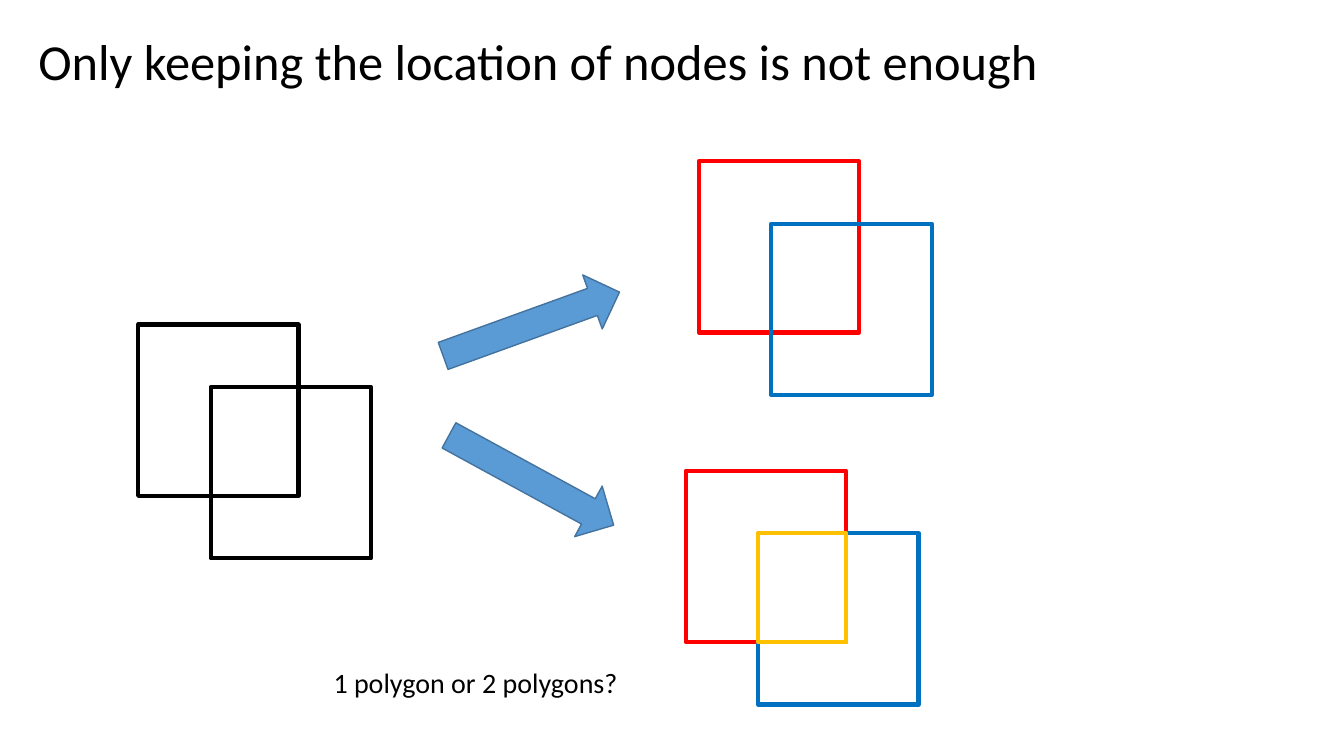
from pptx import Presentation
from pptx.dml.color import RGBColor
from pptx.enum.shapes import MSO_SHAPE
from pptx.enum.text import MSO_ANCHOR, MSO_AUTO_SIZE, PP_ALIGN
from pptx.util import Inches, Pt

RECT, ARROW = MSO_SHAPE.RECTANGLE, MSO_SHAPE.RIGHT_ARROW
MIDDLE, LEFT = MSO_ANCHOR.MIDDLE, PP_ALIGN.LEFT
FIT_SHAPE = MSO_AUTO_SIZE.SHAPE_TO_FIT_TEXT

BLACK = RGBColor(0x00, 0x00, 0x00)
WHITE = RGBColor(0xFF, 0xFF, 0xFF)
RED = RGBColor(0xFF, 0x00, 0x00)
BLUE = RGBColor(0x00, 0x70, 0xC0)
GOLD = RGBColor(0xFF, 0xC0, 0x00)
ARROW_FILL = RGBColor(0x5B, 0x9B, 0xD5)
ARROW_LINE = RGBColor(0x43, 0x73, 0x9E)

# Content
TITLE = "Only keeping the location of nodes is not enough"
QUESTION = "1 polygon or 2 polygons?"
# left, top, back colour, front colour, overlap colour
SQUARE_PAIRS = [
    (1.37, 3.22, BLACK, BLACK, None),
    (6.93, 1.6, RED, BLUE, None),
    (6.8, 4.67, RED, BLUE, GOLD),
]
ARROWS = [(2.93, 340.1), (4.48, 28.6)]  # top, rotation
SQUARE_W, SQUARE_H = 1.59, 1.7
SHIFT_X, SHIFT_Y = 0.72, 0.62


def add_shape(s, kind, box, fill, line, width):
    sp = s.shapes.add_shape(kind, *map(Inches, box))
    sp.shadow.inherit = False
    if fill is None:
        sp.fill.background()
    else:
        sp.fill.solid()
        sp.fill.fore_color.rgb = fill
    sp.line.color.rgb = line
    sp.line.width = Pt(width)
    return sp


def set_text(tf, text, size):
    tf.text = text
    p = tf.paragraphs[0]
    p.alignment = LEFT
    font = p.runs[0].font
    font.name, font.size = "Calibri", Pt(size)
    font.color.rgb = BLACK
    return p


prs = Presentation()
prs.slide_width, prs.slide_height = Inches(13.33), Inches(7.5)
s = prs.slides.add_slide(prs.slide_layouts[5])

# Title
title = s.shapes.title
title.left, title.top = Inches(0.28), Inches(-0.09)
title.width, title.height = Inches(11.5), Inches(1.45)
title.text_frame.vertical_anchor = MIDDLE
set_text(title.text_frame, TITLE, 36).line_spacing = 0.9

# Overlapping squares
for x, y, back, front, overlap in SQUARE_PAIRS:
    x2, y2 = x + SHIFT_X, y + SHIFT_Y
    add_shape(s, RECT, (x, y, SQUARE_W, SQUARE_H), WHITE, back, 3)
    add_shape(s, RECT, (x2, y2, SQUARE_W, SQUARE_H), None, front, 3)
    if overlap is not None:
        size = (SQUARE_W - SHIFT_X, SQUARE_H - SHIFT_Y)
        add_shape(s, RECT, (x2, y2, *size), None, overlap, 3)

# Arrows to the two readings
for y, angle in ARROWS:
    sp = add_shape(s, ARROW, (4.34, y, 1.86, 0.57), ARROW_FILL, ARROW_LINE, 1)
    sp.rotation = angle

# Question
box = s.shapes.add_textbox(Inches(3.21), Inches(6.55), Inches(3.04), Inches(0.44))
tf = box.text_frame
tf.word_wrap = False
tf.auto_size = FIT_SHAPE
set_text(tf, QUESTION, 20)

prs.save("out.pptx")
